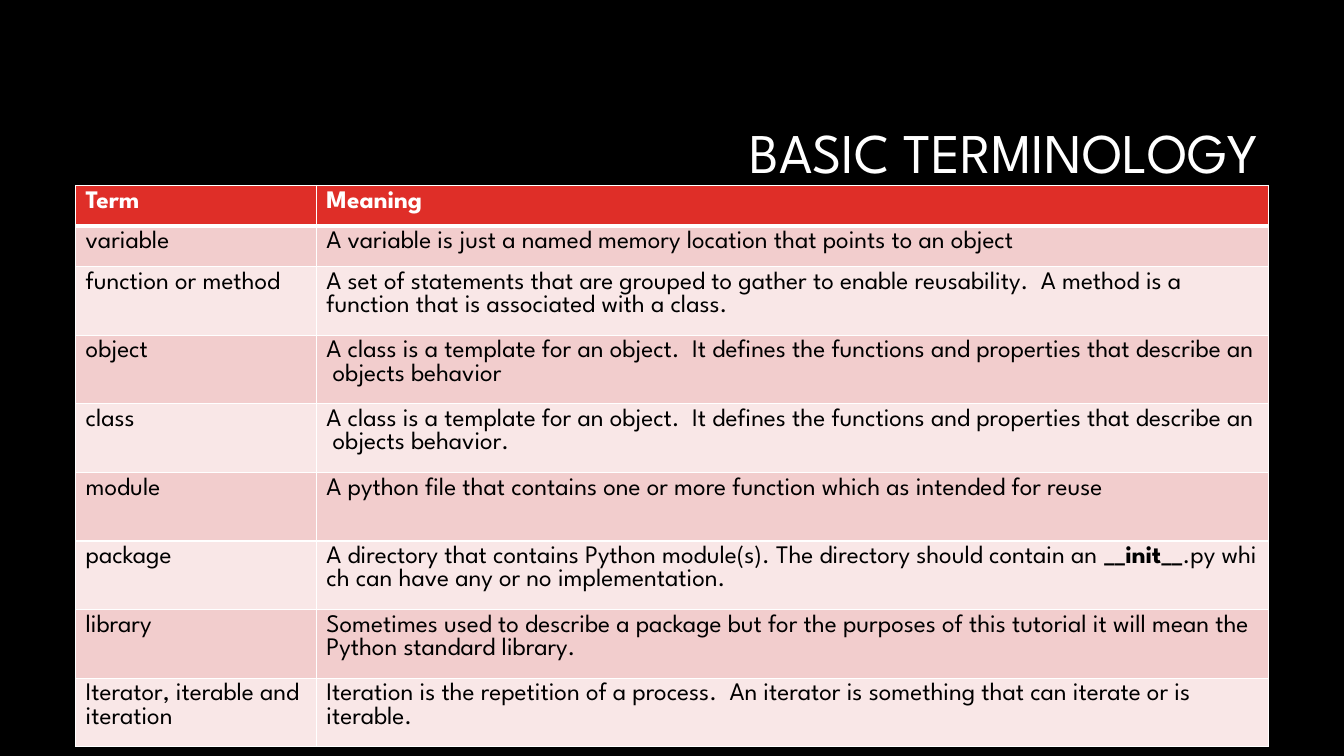
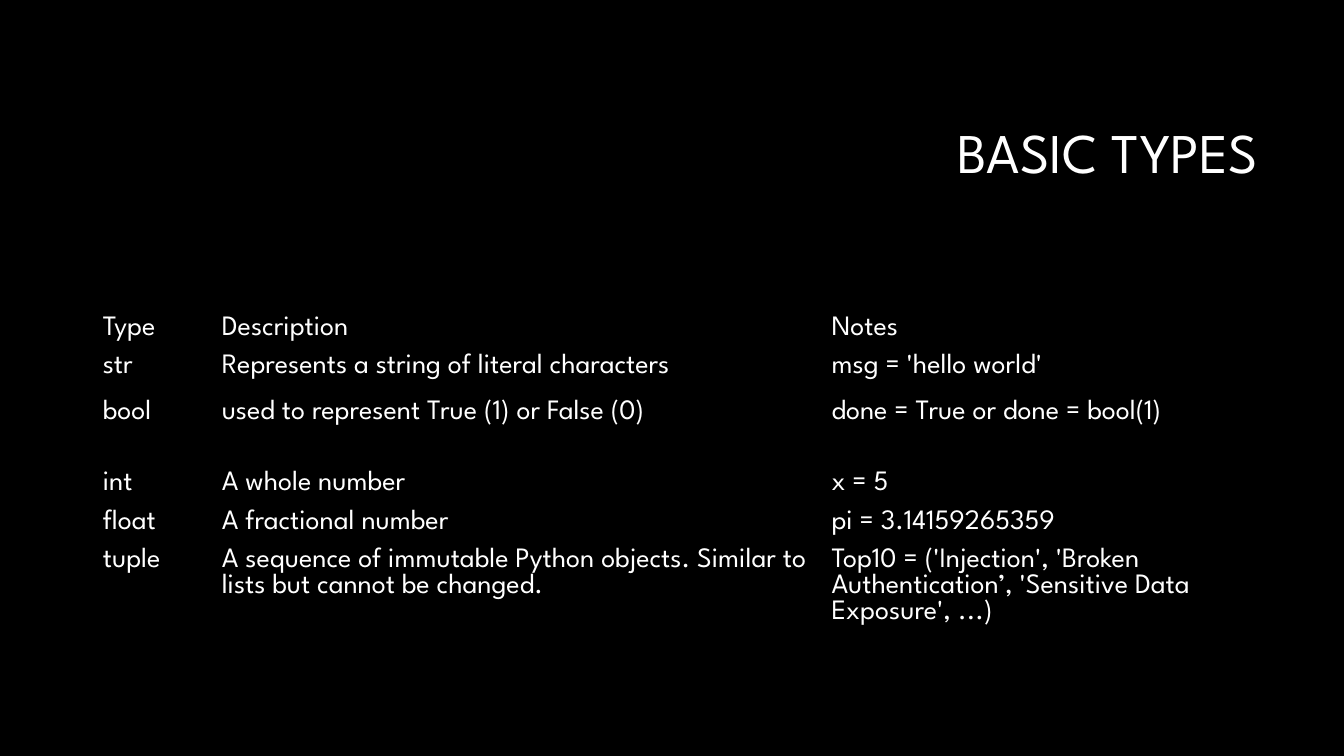
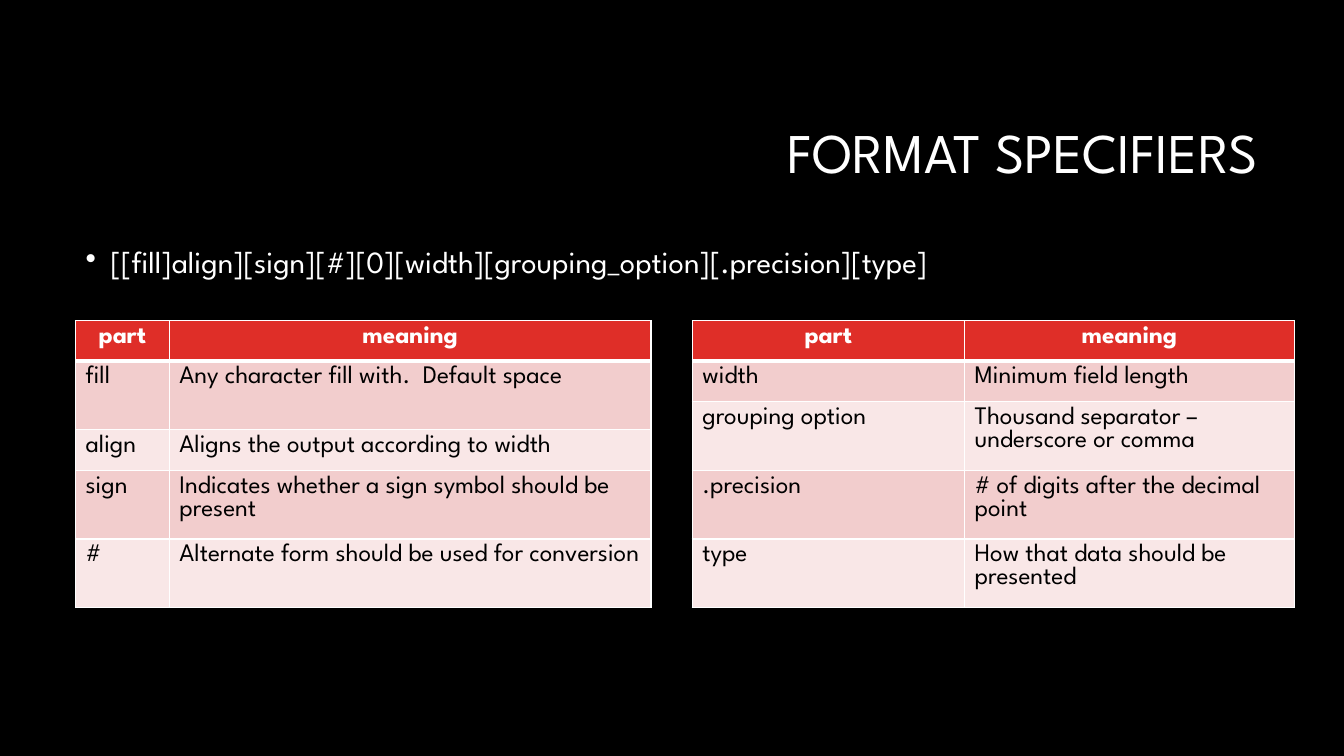
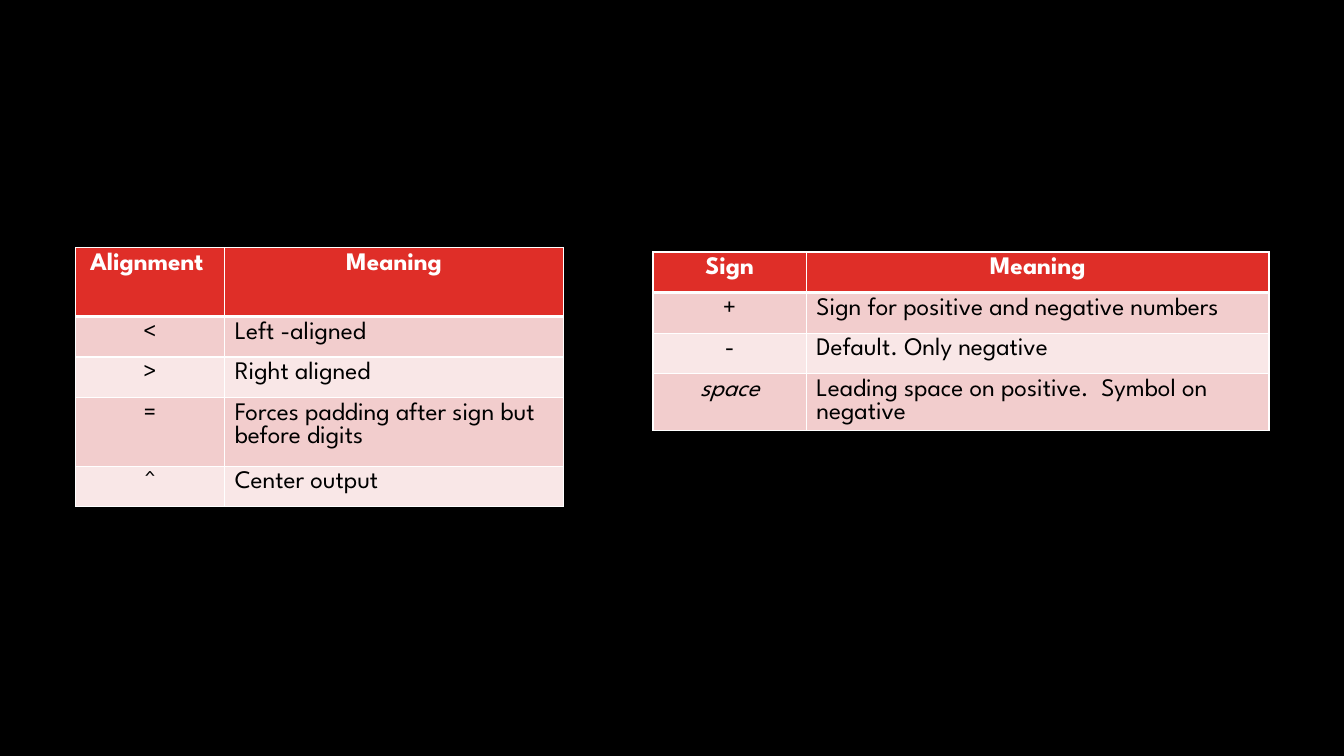
import dataclasses

import pptx
import pptx.dml.color
import pptx.enum.text
import pptx.oxml
import pptx.oxml.ns
import pptx.util

EMU_PER_PX = 6350  # 144 px to the inch
ALIGN = pptx.enum.text.PP_ALIGN
ANCHOR = pptx.enum.text.MSO_ANCHOR
NO_GRID_STYLE = "{2D5ABB26-0587-4C30-8999-92F81FD0307C}"


@dataclasses.dataclass(frozen=True)
class Theme:
    font: str = "League Spartan"
    background: str = "000000"
    light: str = "FFFFFF"
    dark: str = "000000"
    header: str = "DF2E28"
    bands: tuple = ("F2CDCD", "F9E7E7")
    title_size: int = 40
    body_size: int = 22
    plain_size: int = 20
    table_size: int = 18
    border: float = 0.96
    header_border: float = 3
    line_spacing: float = 0.9


THEME = Theme()

# Layout shared by the slides
MARGIN = 108
SHORT_ROW, TALL_ROW = 58, 98


def px(length):
    return pptx.util.Emu(length * EMU_PER_PX)


def color(value):
    return pptx.dml.color.RGBColor.from_string(value)


def unbroken(text):
    """Join the words with no-break spaces."""
    return text.replace(" ", chr(160))


def write(frame, text, size, ink=THEME.light, bold=False, align=ALIGN.LEFT,
          spacing=None, bullet=None, indent=36):
    """Fill a text frame; text is a string or a list of (string, font settings)."""
    paragraph = frame.paragraphs[0]
    if bullet:
        properties = paragraph._p.get_or_add_pPr()
        properties.set("marL", str(px(indent)))
        properties.set("indent", str(-px(indent)))
        namespace = pptx.oxml.ns.nsdecls("a")
        properties.append(pptx.oxml.parse_xml(
            f'<a:buClr {namespace}><a:srgbClr val="{ink}"/></a:buClr>'))
        properties.append(pptx.oxml.parse_xml(f'<a:buChar {namespace} char="{bullet}"/>'))
    paragraph.alignment = align
    if spacing:
        paragraph.line_spacing = spacing
    for part, settings in [(text, {})] if isinstance(text, str) else text:
        run = paragraph.add_run()
        run.text = part
        run.font.name = THEME.font
        run.font.size = pptx.util.Pt(size)
        run.font.color.rgb = color(ink)
        run.font.bold = settings.get("bold", bold)
        run.font.italic = settings.get("italic", False)


def set_borders(cell, **widths):
    """Draw the four sides of a cell; widths in points, by side letter."""
    properties = cell._tc.get_or_add_tcPr()
    for side in "LRTB":
        width = pptx.util.Pt(widths.get(side, THEME.border))
        properties.append(pptx.oxml.parse_xml(
            f'<a:ln{side} {pptx.oxml.ns.nsdecls("a")} w="{width}"><a:solidFill>'
            f'<a:srgbClr val="{THEME.light}"/></a:solidFill></a:ln{side}>'))


class Deck:
    TITLE_ONLY, BLANK = 5, 6

    def __init__(self):
        self.presentation = pptx.Presentation()
        self.presentation.slide_width = px(1920)
        self.presentation.slide_height = px(1080)
        fill = self.presentation.slide_master.background.fill
        fill.solid()
        fill.fore_color.rgb = color(THEME.background)
        self.slide = None

    def add_slide(self, title=None):
        layout = self.TITLE_ONLY if title else self.BLANK
        self.slide = self.presentation.slides.add_slide(
            self.presentation.slide_layouts[layout])
        if title:
            shape = self.slide.shapes.title
            shape.left, shape.top, shape.width, shape.height = map(px, (456, 121, 1356, 203))
            self.prepare_frame(shape.text_frame, ANCHOR.MIDDLE)
            write(shape.text_frame, title, THEME.title_size, align=ALIGN.RIGHT,
                  spacing=THEME.line_spacing)

    def prepare_frame(self, frame, anchor):
        frame.word_wrap = True
        frame.auto_size = pptx.enum.text.MSO_AUTO_SIZE.NONE
        frame.vertical_anchor = anchor

    def add_bullet(self, text, left, top, width, height):
        shape = self.slide.shapes.add_textbox(*map(px, (left, top, width, height)))
        self.prepare_frame(shape.text_frame, ANCHOR.TOP)
        write(shape.text_frame, text, THEME.body_size, bullet="•",
              spacing=THEME.line_spacing)

    def add_grid(self, left, top, columns, heights, rows):
        """Add a table without style and yield its cells with their places."""
        frame = self.slide.shapes.add_table(
            len(rows), len(columns),
            *map(px, (left, top, sum(columns), sum(heights))))
        table = frame.table
        table._tbl.tblPr.find(pptx.oxml.ns.qn("a:tableStyleId")).text = NO_GRID_STYLE
        table.horz_banding = False
        for column, width in zip(table.columns, columns):
            column.width = px(width)
        for row, height in zip(table.rows, heights):
            row.height = px(height)
        for row_index, values in enumerate(rows):
            for column_index, value in enumerate(values):
                yield table.cell(row_index, column_index), row_index, column_index, value

    def add_banded_table(self, left, top, columns, heights, rows,
                         header_align=ALIGN.CENTER, key_align=ALIGN.LEFT):
        for cell, row, column, value in self.add_grid(left, top, columns, heights, rows):
            if row == 0:
                set_borders(cell, B=THEME.header_border)
                fill, ink, align = THEME.header, THEME.light, header_align
            else:
                set_borders(cell, T=THEME.header_border if row == 1 else THEME.border)
                fill, ink = THEME.bands[(row - 1) % 2], THEME.dark
                align = key_align if column == 0 else ALIGN.LEFT
            cell.fill.solid()
            cell.fill.fore_color.rgb = color(fill)
            write(cell.text_frame, value, THEME.table_size, ink=ink,
                  bold=row == 0, align=align)

    def add_plain_table(self, left, top, columns, heights, rows):
        for cell, _, _, value in self.add_grid(left, top, columns, heights, rows):
            cell.fill.background()
            cell.margin_left = cell.margin_right = px(9)
            write(cell.text_frame, value, THEME.plain_size)


def add_terminology(deck):
    class_meaning = unbroken("A class is a template for an object.  It defines the functions "
                             "and properties that describe an objects behavior")
    deck.add_slide("BASIC TERMINOLOGY")
    deck.add_banded_table(
        MARGIN, 265, [344, 1360], [SHORT_ROW] * 2 + [TALL_ROW] * 7,
        [
            ("Term", "Meaning"),
            ("variable", unbroken(
                "A variable is just a named memory location that points to an object")),
            ("function or method", unbroken(
                "A set of statements that are grouped to gather to enable reusability.")
                + "  A method is a function that is associated with a class."),
            ("object", class_meaning),
            ("class", class_meaning + "."),
            ("module", unbroken("A python file that contains one or more function "
                                "which as intended for reuse")),
            ("package", [
                (unbroken("A directory that contains Python module(s). "
                          "The directory should contain an "), {}),
                ("__init__", {"bold": True}),
                (unbroken(".py which can have any or no implementation."), {})]),
            ("library", unbroken(
                "Sometimes used to describe a package but for the purposes of this "
                "tutorial it will mean the Python standard library.")),
            ("Iterator, iterable and iteration",
             "Iteration is the repetition of a process.  An iterator is something "
             "that can iterate or is iterable."),
        ],
        header_align=ALIGN.LEFT)


def add_types(deck):
    deck.add_slide("BASIC TYPES")
    deck.add_plain_table(
        138, 444, [170, 871, 602], [55, 65, 102, 55, 55, 148],
        [
            ("Type", "Description", "Notes"),
            ("str", "Represents a string of literal characters", "msg = 'hello world'"),
            ("bool", "used to represent True (1) or False (0)",
             "done = True or done = bool(1)"),
            ("int", "A whole number", "x = 5"),
            ("float", "A fractional number", "pi = 3.14159265359"),
            ("tuple", "A sequence of immutable Python objects. "
                      "Similar to lists but cannot be changed.",
             "Top10 = ('Injection', 'Broken Authentication’, "
             "'Sensitive Data Exposure', ...)"),
        ])


def add_specifiers(deck):
    deck.add_slide("FORMAT SPECIFIERS")
    deck.add_bullet("[[fill]align][sign][#][0][width][grouping_option][.precision][type]",
                    MARGIN, 346, 1704, 634)
    top = 458
    deck.add_banded_table(
        MARGIN, top, [134, 688], [SHORT_ROW, TALL_ROW, SHORT_ROW, TALL_ROW, TALL_ROW],
        [
            ("part", "meaning"),
            ("fill", "Any character fill with.  Default space"),
            ("align", "Aligns the output according to width"),
            ("sign", "Indicates whether a sign symbol should be present"),
            ("#", "Alternate form should be used for conversion"),
        ])
    deck.add_banded_table(
        989, top, [389, 471], [SHORT_ROW] * 2 + [TALL_ROW] * 3,
        [
            ("part", "meaning"),
            ("width", "Minimum field length"),
            ("grouping option", "Thousand separator – underscore or comma"),
            (".precision", "# of digits after the decimal point"),
            ("type", "How that data should be presented"),
        ])


def add_alignment_and_sign(deck):
    deck.add_slide()
    deck.add_banded_table(
        MARGIN, 354, [213, 484], [TALL_ROW, SHORT_ROW, SHORT_ROW, TALL_ROW, SHORT_ROW],
        [
            ("Alignment ", "Meaning"),
            ("<", "Left -aligned"),
            (">", "Right aligned"),
            ("=", "Forces padding after sign but before digits"),
            ("^", "Center output"),
        ],
        key_align=ALIGN.CENTER)
    deck.add_banded_table(
        933, 360, [219, 661], [SHORT_ROW] * 4,
        [
            ("Sign", "Meaning"),
            ("+", "Sign for positive and negative numbers"),
            ("-", "Default. Only negative"),
            ([("space", {"italic": True})],
             "Leading space on positive.  Symbol on negative"),
        ],
        key_align=ALIGN.CENTER)


def main():
    deck = Deck()
    add_terminology(deck)
    add_types(deck)
    add_specifiers(deck)
    add_alignment_and_sign(deck)
    deck.presentation.save("out.pptx")


if __name__ == "__main__":
    main()
